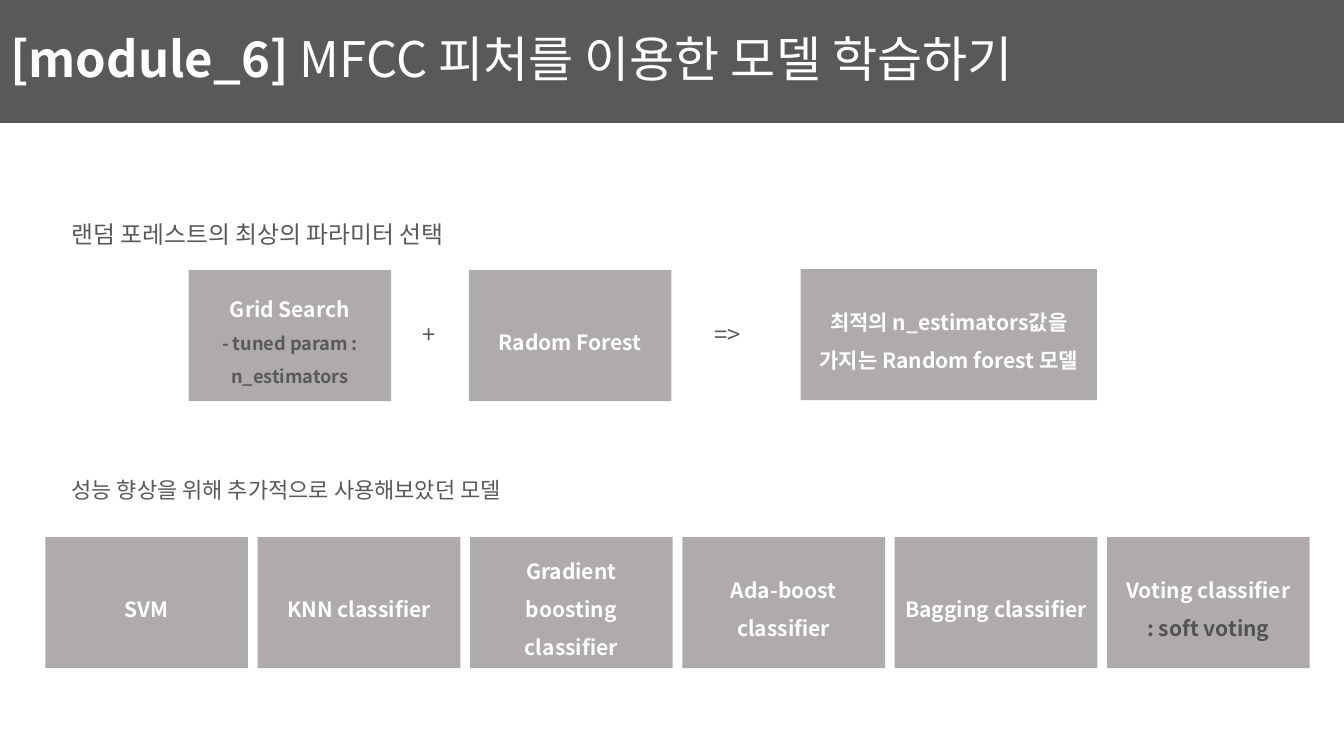
from lxml.etree import SubElement
from pptx import Presentation
from pptx.dml.color import RGBColor
from pptx.enum.shapes import MSO_SHAPE as SHAPE
from pptx.enum.text import MSO_ANCHOR as ANCHOR, MSO_AUTO_SIZE as AUTOSIZE, PP_ALIGN as ALIGN
from pptx.oxml.ns import qn
from pptx.util import Inches, Pt

FONT = "Noto Sans CJK KR"
DARK, GRAY, WHITE = "595959", "AFABAB", "FFFFFF"
BOX_W, BOX_H = 2.01, 1.3
ROW_LEFT, ROW_RIGHT = 0.45, 10.98
MODELS = [
    ["SVM"],
    ["KNN classifier"],
    ["Gradient boosting classifier"],
    ["Ada-boost classifier"],
    ["Bagging classifier"],
    ["Voting classifier", (": soft voting", 15, "525252")],
]


def rgb(value):
    """Turn a hex string into a colour."""
    return RGBColor.from_string(value)


def add_text(p, text, size=15, color=WHITE, bold=False, align=ALIGN.LEFT, spacing=0.9):
    """Add a formatted run to a paragraph."""
    p.alignment, p.line_spacing = align, spacing
    r = p.add_run()
    r.text = text
    r.font.size, r.font.bold, r.font.name = Pt(size), bold, FONT
    r.font.color.rgb = rgb(color)
    SubElement(r.font._element, qn("a:ea"), typeface=FONT)


def add_title(s):
    """Format the title placeholder as the banner across the top."""
    sp = s.shapes.title
    sp.left, sp.top, sp.width, sp.height = (Inches(v) for v in (0, 0, 13.33, 1.22))
    sp.fill.solid()
    sp.fill.fore_color.rgb = rgb(DARK)
    tf = sp.text_frame
    tf.auto_size, tf.vertical_anchor = AUTOSIZE.NONE, ANCHOR.MIDDLE
    add_text(tf.paragraphs[0], "[module_6] ", size=35, bold=True)
    add_text(tf.paragraphs[0], "MFCC 피처를 이용한 모델 학습하기", size=35)


def add_label(s, text, left, top, width, size=17):
    """Add a plain line of dark text."""
    box = s.shapes.add_textbox(Inches(left), Inches(top), Inches(width), Inches(0.44))
    tf = box.text_frame
    tf.word_wrap = True
    add_text(tf.paragraphs[0], text, size=size, color=DARK)


def add_box(s, left, top, heading, note=None, width=BOX_W):
    """Add a gray box with a heading and an optional (text, size, colour) note."""
    sp = s.shapes.add_shape(SHAPE.RECTANGLE, Inches(left), Inches(top), Inches(width), Inches(BOX_H))
    sp.shadow.inherit = False
    sp.fill.solid()
    sp.fill.fore_color.rgb = rgb(GRAY)
    sp.line.fill.background()
    tf = sp.text_frame
    tf.word_wrap, tf.vertical_anchor = True, ANCHOR.MIDDLE
    tf.margin_left = tf.margin_right = Inches(0.09)
    style = dict(bold=True, align=ALIGN.CENTER, spacing=1.5)
    add_text(tf.paragraphs[0], heading, **style)
    if note:
        text, size, color = note
        add_text(tf.add_paragraph(), text, size=size, color=color, **style)


def main():
    """Build and save the slide."""
    prs = Presentation()
    prs.slide_width, prs.slide_height = Inches(13.33), Inches(7.5)
    s = prs.slides.add_slide(prs.slide_layouts[5])
    add_title(s)

    add_label(s, "랜덤 포레스트의 최상의 파라미터 선택", 0.61, 2.16, 4.35)
    add_box(s, 1.87, 2.68, "Grid Search", ("- tuned param : n_estimators", 13, DARK))
    add_label(s, "+", 4.09, 3.16, 0.35)
    add_box(s, 4.65, 2.68, "Radom Forest")
    add_label(s, "=>", 6.99, 3.16, 0.62)
    add_box(s, 7.94, 2.67, "최적의 n_estimators값을 가지는 Random forest 모델", width=2.94)

    add_label(s, "성능 향상을 위해 추가적으로 사용해보았던 모델", 0.61, 4.71, 4.88, size=15.7)
    pitch = (ROW_RIGHT - ROW_LEFT) / (len(MODELS) - 1)
    for i, texts in enumerate(MODELS):
        add_box(s, ROW_LEFT + i * pitch, 5.33, *texts)

    prs.save("out.pptx")


if __name__ == "__main__":
    main()
